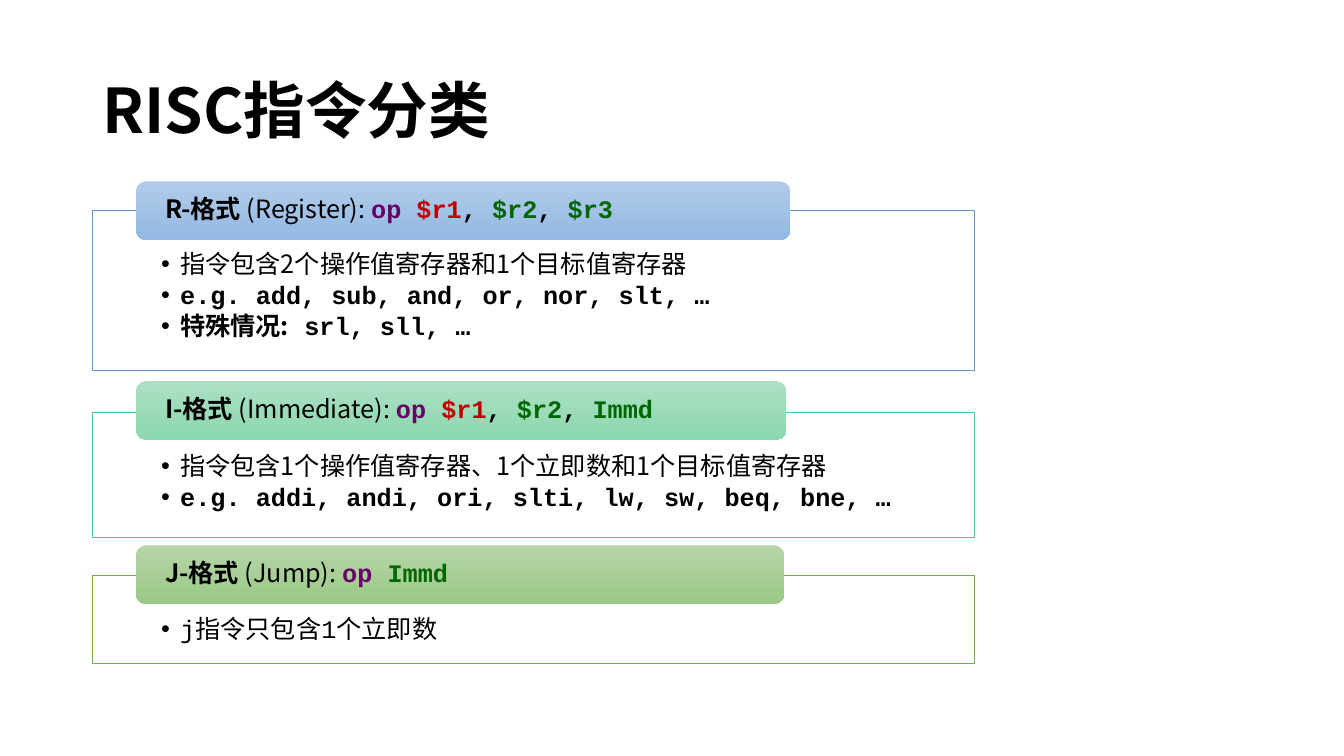
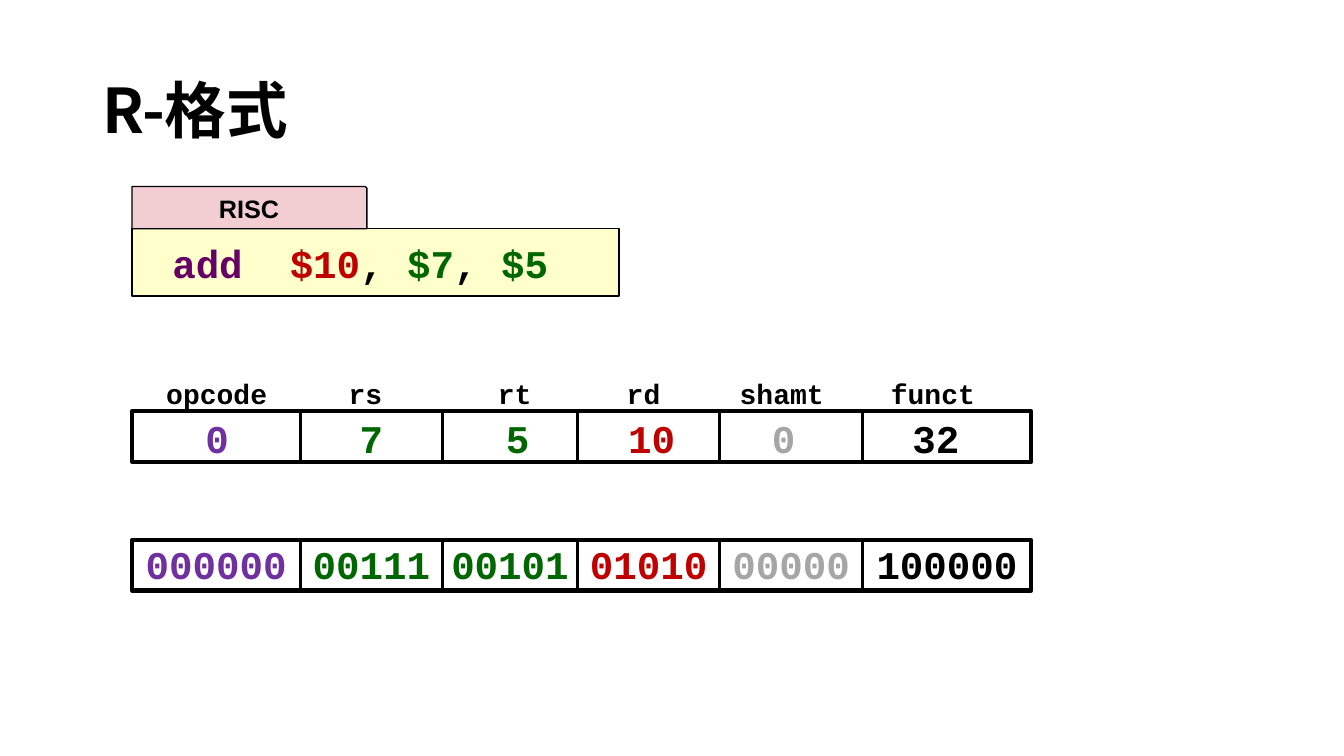
from dataclasses import dataclass
from itertools import accumulate
from typing import NamedTuple, Optional

from lxml import etree
from pptx import Presentation
from pptx.dml.color import RGBColor
from pptx.enum.shapes import MSO_CONNECTOR, MSO_SHAPE
from pptx.enum.text import MSO_ANCHOR, PP_ALIGN
from pptx.oxml.ns import qn
from pptx.util import Pt

# Enum members
RECTANGLE = MSO_SHAPE.RECTANGLE
ROUNDED = MSO_SHAPE.ROUNDED_RECTANGLE
SNIPPED = MSO_SHAPE.SNIP_1_RECTANGLE
STRAIGHT = MSO_CONNECTOR.STRAIGHT
TOP, MIDDLE = MSO_ANCHOR.TOP, MSO_ANCHOR.MIDDLE
LEFT, CENTER = PP_ALIGN.LEFT, PP_ALIGN.CENTER

# Fonts and colours
SANS, MONO, LABEL = "Noto Sans CJK SC", "Courier New", "Arial"
BLACK = RGBColor(0x00, 0x00, 0x00)
WHITE = RGBColor(0xFF, 0xFF, 0xFF)
PLUM = RGBColor(0x66, 0x00, 0x66)
VIOLET = RGBColor(0x70, 0x30, 0xA0)
RED = RGBColor(0xC0, 0x00, 0x00)
GREEN = RGBColor(0x00, 0x66, 0x00)
GREY = RGBColor(0xA6, 0xA6, 0xA6)
PINK = RGBColor(0xF2, 0xCE, 0xD2)
CREAM = RGBColor(0xFF, 0xFF, 0xCC)
BLUE_LINE = RGBColor(0x5B, 0x9B, 0xD5)
BLUE_LIGHT = RGBColor(0xB1, 0xCB, 0xE9)
BLUE_DARK = RGBColor(0x93, 0xB9, 0xE4)
MINT_LINE = RGBColor(0x4D, 0xC5, 0x8D)
MINT_LIGHT = RGBColor(0xAB, 0xE0, 0xC3)
MINT_DARK = RGBColor(0x8C, 0xD8, 0xAF)
LEAF_LINE = RGBColor(0x70, 0xAD, 0x47)
LEAF_LIGHT = RGBColor(0xB5, 0xD5, 0xA7)
LEAF_DARK = RGBColor(0x9C, 0xC9, 0x87)

INSETS = (7.2, 3.6, 7.2, 3.6)


class Span(NamedTuple):
    text: str
    font: str = SANS
    color: RGBColor = BLACK
    bold: bool = True


class Area(NamedTuple):
    left: float
    top: float
    width: float
    height: float

    def points(self) -> list:
        return [Pt(length) for length in self]


@dataclass
class Format:
    """One instruction format: a heading band over a framed list."""
    heading: list[Span]
    bullets: list[list[Span]]
    frame_top: float
    frame_height: float
    band_top: float
    band_width: float
    line: RGBColor
    light: RGBColor
    dark: RGBColor


@dataclass
class Field:
    """One field of the instruction word; centres are measured on the slide."""
    name: str
    value: str
    bits: str
    color: RGBColor
    width: float
    name_center: float
    value_center: float


def heading(title: str, note: str, *operands: Span) -> list[Span]:
    spans = [Span(title), Span(f" ({note}): ", bold=False), Span("op ", MONO, PLUM)]
    for index, operand in enumerate(operands):
        if index:
            spans.append(Span(", ", MONO))
        spans.append(operand)
    return spans


TARGET = Span("$r1", MONO, RED)
SOURCE = Span("$r2", MONO, GREEN)
IMMEDIATE = Span("Immd", MONO, GREEN)

FORMATS = [
    Format(
        heading("R-格式", "Register", TARGET, SOURCE, Span("$r3", MONO, GREEN)),
        [[Span("指令包含2个操作值寄存器和1个目标值寄存器", bold=False)],
         [Span("e.g. add, sub, and, or, nor, slt, …", MONO)],
         [Span("特殊情况:"), Span(" srl, sll, …", MONO)]],
        150.5, 113.8, 129.6, 467.3, BLUE_LINE, BLUE_LIGHT, BLUE_DARK),
    Format(
        heading("I-格式", "Immediate", TARGET, SOURCE, IMMEDIATE),
        [[Span("指令包含1个操作值寄存器、1个立即数和1个目标值寄存器", bold=False)],
         [Span("e.g. addi, andi, ori, slti, lw, sw, beq, bne, …", MONO)]],
        294.5, 89.3, 272.2, 464.4, MINT_LINE, MINT_LIGHT, MINT_DARK),
    Format(
        heading("J-格式", "Jump", IMMEDIATE),
        [[Span("j指令只包含1个立即数", MONO, bold=False)]],
        411.1, 62.6, 389.5, 463, LEAF_LINE, LEAF_LIGHT, LEAF_DARK),
]

FIELDS = [
    Field("opcode", "0", "000000", VIOLET, 120.3, 154.8, 155.2),
    Field("rs", "7", "00111", GREEN, 101.5, 261, 265.3),
    Field("rt", "5", "00101", GREEN, 96.5, 367.6, 369.7),
    Field("rd", "10", "01010", RED, 101.5, 459.7, 465.5),
    Field("shamt", "0", "00000", GREY, 102.2, 558.4, 559.8),
    Field("funct", "32", "100000", BLACK, 120.3, 666.4, 668.5),
]

WORD_LEFT, WORD_HEIGHT = 94.3, 36
VALUE_ROW, BITS_ROW = 293.8, 385.9
FIELD_BOX = 124


# Text helpers
def set_frame(shape, insets: tuple = INSETS, anchor=TOP):
    frame = shape.text_frame
    frame.word_wrap = True
    frame.vertical_anchor = anchor
    (frame.margin_left, frame.margin_top,
     frame.margin_right, frame.margin_bottom) = [Pt(inset) for inset in insets]
    return frame


def fill_para(para, spans: list[Span], size: float, align=LEFT,
              spacing: Optional[float] = None) -> None:
    para.alignment = align
    if spacing:
        para.line_spacing = spacing
    for span in spans:
        run = para.add_run()
        run.text = span.text
        font = run.font
        font.name, font.size, font.bold = span.font, Pt(size), span.bold
        font.color.rgb = span.color
        latin = run._r.rPr.find(qn("a:latin"))
        east_asian = etree.Element(qn("a:ea"), typeface=SANS)
        latin.addnext(east_asian)


def add_bullet(para, indent: float) -> None:
    properties = para._p.get_or_add_pPr()
    properties.set("marL", str(Pt(indent)))
    properties.set("indent", str(-Pt(indent)))
    etree.SubElement(properties, qn("a:buFont"), typeface=LABEL)
    etree.SubElement(properties, qn("a:buChar"), char="•")


def add_text(page, area: Area, spans: list[Span], size: float, align=LEFT,
             anchor=TOP, spacing: Optional[float] = None) -> None:
    box = page.shapes.add_textbox(*area.points())
    frame = set_frame(box, anchor=anchor)
    fill_para(frame.paragraphs[0], spans, size, align, spacing)


# Shape helpers
def add_panel(page, kind, area: Area, fill: Optional[RGBColor] = None,
              line: Optional[RGBColor] = None, weight: float = 1):
    panel = page.shapes.add_shape(kind, *area.points())
    panel.shadow.inherit = False
    if fill is None:
        panel.fill.background()
    else:
        panel.fill.solid()
        panel.fill.fore_color.rgb = fill
    if line is None:
        panel.line.fill.background()
    else:
        panel.line.color.rgb = line
        panel.line.width = Pt(weight)
    return panel


def add_divider(page, x: float, top: float, height: float) -> None:
    divider = page.shapes.add_connector(STRAIGHT, Pt(x), Pt(top), Pt(x), Pt(top + height))
    divider.line.color.rgb = BLACK
    divider.line.width = Pt(2.25)
    etree.SubElement(divider._element.spPr, qn("a:effectLst"))


def add_page(deck, title: str):
    page = deck.slides.add_slide(deck.slide_layouts[6])
    add_text(page, Area(66, 28.8, 828, 104.4), [Span(title)], 44,
             anchor=MIDDLE, spacing=0.9)
    return page


# Instruction formats
def draw_format(page, item: Format) -> None:
    panel = add_panel(page, RECTANGLE, Area(66, item.frame_top, 630, item.frame_height),
                      WHITE, item.line, 0.5)
    frame = set_frame(panel, (49, 29.5, 49, 10))
    for index, spans in enumerate(item.bullets):
        para = frame.add_paragraph() if index else frame.paragraphs[0]
        add_bullet(para, 13.7)
        para.space_after = Pt(2.7)
        fill_para(para, spans, 18, spacing=0.9)

    band = add_panel(page, ROUNDED, Area(97.2, item.band_top, item.band_width, 41.8))
    band.fill.gradient()
    band.fill.gradient_angle = 270
    for stop, color in zip(band.fill.gradient_stops, (item.light, item.dark)):
        stop.color.rgb = color
    frame = set_frame(band, (18.7, 0, 18.7, 0), MIDDLE)
    fill_para(frame.paragraphs[0], item.heading, 18, spacing=0.9)


# Assembly sample
def draw_sample(page) -> None:
    code = add_panel(page, RECTANGLE, Area(WORD_LEFT, 163.4, 347.8, 48.2), CREAM, BLACK)
    frame = set_frame(code, (28.8, 3.6, 7.2, 3.6), MIDDLE)
    fill_para(frame.paragraphs[0], [
        Span("add  ", MONO, PLUM), Span("$10", MONO, RED), Span(", ", MONO),
        Span("$7", MONO, GREEN), Span(", ", MONO), Span("$5", MONO, GREEN)], 28)

    tab = add_panel(page, SNIPPED, Area(WORD_LEFT, 133.2, 167.8, 30.2), PINK, BLACK)
    tab.adjustments[0] = 0.04
    frame = set_frame(tab, anchor=MIDDLE)
    fill_para(frame.paragraphs[0], [Span("RISC", LABEL)], 18, CENTER)


# Instruction word
def draw_word(page, top: float, edges: list[float]) -> None:
    add_panel(page, RECTANGLE, Area(edges[0], top, edges[-1] - edges[0], WORD_HEIGHT),
              line=BLACK, weight=3)
    for edge in edges[1:-1]:
        add_divider(page, edge, top, WORD_HEIGHT)


def add_field_text(page, text: str, center: float, top: float, size: float,
                   color: RGBColor) -> None:
    area = Area(center - FIELD_BOX / 2, top, FIELD_BOX, 41)
    add_text(page, area, [Span(text, MONO, color)], size, CENTER)


def draw_fields(page) -> None:
    edges = list(accumulate((field.width for field in FIELDS), initial=WORD_LEFT))
    for top in (VALUE_ROW, BITS_ROW):
        draw_word(page, top, edges)
    for field, left in zip(FIELDS, edges):
        add_field_text(page, field.name, field.name_center, 265.7, 20, BLACK)
        add_field_text(page, field.value, field.value_center, VALUE_ROW - 1.5, 28, field.color)
        add_field_text(page, field.bits, left + field.width / 2, BITS_ROW - 3.6, 28, field.color)


def main() -> None:
    deck = Presentation()
    deck.slide_width, deck.slide_height = Pt(960), Pt(540)

    page = add_page(deck, "RISC指令分类")
    for item in FORMATS:
        draw_format(page, item)

    page = add_page(deck, "R-格式")
    draw_sample(page)
    draw_fields(page)

    deck.save("out.pptx")


if __name__ == "__main__":
    main()
